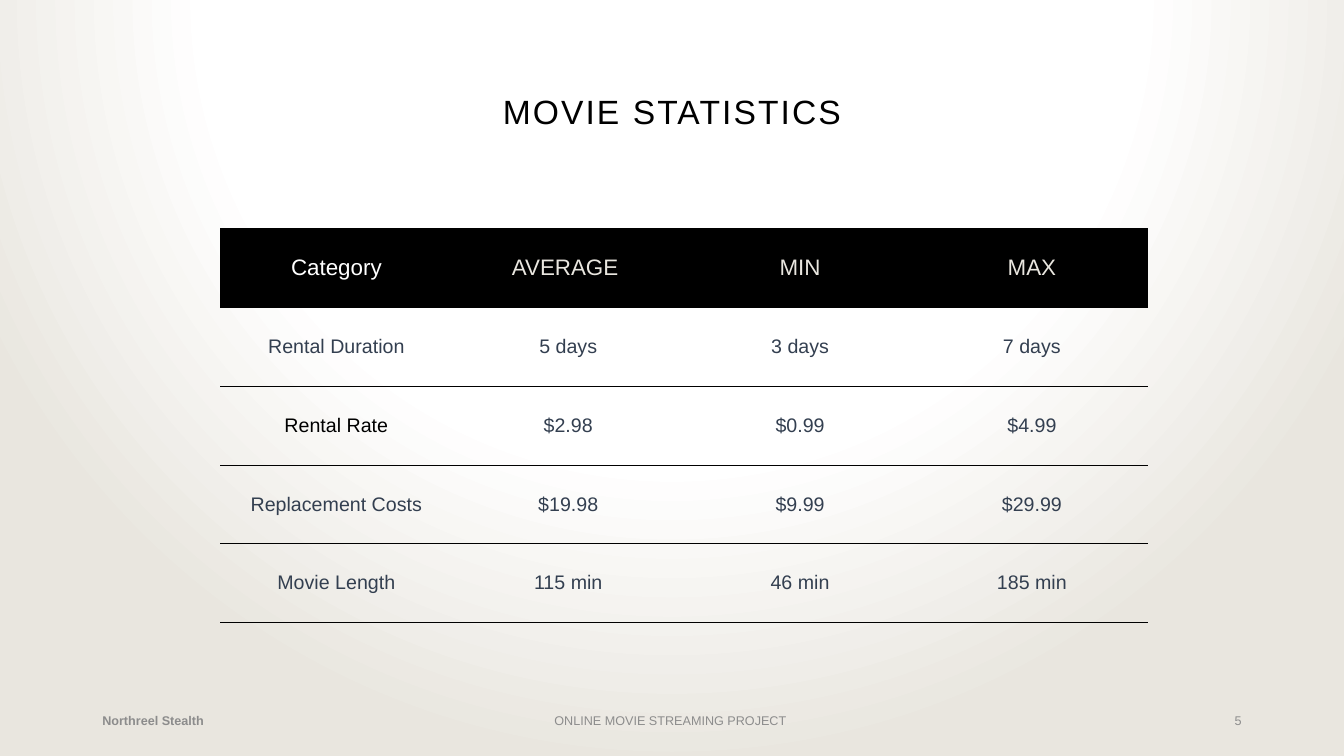
"""Build the movie statistics slide with a table of averages, minimums and maximums."""
from dataclasses import dataclass

from pptx import Presentation
from pptx.dml.color import RGBColor
from pptx.enum.text import MSO_ANCHOR as Anchor, PP_ALIGN as Align
from pptx.oxml import parse_xml
from pptx.oxml.ns import nsdecls
from pptx.slide import Slide
from pptx.table import _Cell as Cell
from pptx.text.text import TextFrame
from pptx.util import Pt

BLACK = RGBColor(0x00, 0x00, 0x00)
WHITE = RGBColor(0xFF, 0xFF, 0xFF)
CREAM = RGBColor(0xE9, 0xE6, 0xDF)
SLATE = RGBColor(0x33, 0x3F, 0x50)
GREY = RGBColor(0x8C, 0x8C, 0x8C)
FONT = "Arial"

TABLE_LEFT, TABLE_TOP = 157.5, 163.2
COLUMN_WIDTH, ROW_HEIGHT = 165.6, 56.3
STATISTICS = [
    ("Category", "AVERAGE ", "MIN", "MAX"),
    ("Rental Duration", "5 days", "3 days", "7 days"),
    ("Rental Rate", "$2.98", "$0.99", "$4.99"),
    ("Replacement Costs", "$19.98", "$9.99", "$29.99"),
    ("Movie Length", "115 min", "46 min", "185 min"),
]
CELL_COLORS = {(0, 0): WHITE, (2, 0): BLACK}


@dataclass
class FooterItem:
    text: str
    left: float
    width: float
    align: Align
    bold: bool = False


FOOTER_ITEMS = [
    FooterItem("Northreel Stealth", 66, 216, Align.LEFT, bold=True),
    FooterItem("ONLINE MOVIE STREAMING PROJECT ", 318, 324, Align.CENTER),
    FooterItem("5", 678, 216, Align.RIGHT),
]


def write_text(frame: TextFrame, text: str, *, size: float, color: RGBColor,
               align: Align = Align.CENTER, bold: bool = False,
               character_spacing: float = 0, line_spacing: float = 1.0) -> None:
    frame.word_wrap = True
    paragraph = frame.paragraphs[0]
    paragraph.alignment = align
    paragraph.line_spacing = line_spacing
    run = paragraph.add_run()
    run.text = text
    run.font.name = FONT
    run.font.size = Pt(size)
    run.font.bold = bold
    run.font.color.rgb = color
    if character_spacing:
        run.font._element.set("spc", str(round(character_spacing * 100)))


def paint_background(slide: Slide) -> None:
    stops = "".join(
        f'<a:gs pos="{percent * 1000}"><a:srgbClr val="{color}"/></a:gs>'
        for percent, color in ((0, WHITE), (60, WHITE), (100, CREAM)))
    slide.element.cSld.insert(0, parse_xml(
        f'<p:bg {nsdecls("p", "a")}><p:bgPr><a:gradFill rotWithShape="1">'
        f'<a:gsLst>{stops}</a:gsLst><a:path path="circle">'
        '<a:fillToRect l="50000" t="-80000" r="50000" b="180000"/></a:path>'
        '</a:gradFill><a:effectLst/></p:bgPr></p:bg>'))


def set_borders(cell: Cell) -> None:
    rule = f'<a:solidFill><a:srgbClr val="{BLACK}"/></a:solidFill>'
    lines = (("lnL", "<a:noFill/>"), ("lnR", "<a:noFill/>"), ("lnT", rule), ("lnB", rule))
    properties = cell._tc.get_or_add_tcPr()
    for position, (tag, fill) in enumerate(lines):
        properties.insert(position, parse_xml(
            f'<a:{tag} {nsdecls("a")} w="{Pt(0.5)}">{fill}</a:{tag}>'))


def add_title(slide: Slide) -> None:
    title = slide.shapes.title
    title.left, title.top, title.width, title.height = Pt(66), Pt(28.8), Pt(828), Pt(104.4)
    title.text_frame.vertical_anchor = Anchor.MIDDLE
    write_text(title.text_frame, "MOVIE STATISTICS", size=24, color=BLACK,
               character_spacing=1.5, line_spacing=0.9)


def add_statistics_table(slide: Slide) -> None:
    row_count, column_count = len(STATISTICS), len(STATISTICS[0])
    table = slide.shapes.add_table(
        row_count, column_count, Pt(TABLE_LEFT), Pt(TABLE_TOP),
        Pt(COLUMN_WIDTH * column_count), Pt(ROW_HEIGHT * row_count)).table
    table.first_row = table.horz_banding = False
    for column in table.columns:
        column.width = Pt(COLUMN_WIDTH)
    for row_index, values in enumerate(STATISTICS):
        table.rows[row_index].height = Pt(ROW_HEIGHT)
        is_header = row_index == 0
        for column_index, value in enumerate(values):
            cell = table.cell(row_index, column_index)
            cell.vertical_anchor = Anchor.MIDDLE
            if is_header:
                cell.fill.solid()
                cell.fill.fore_color.rgb = BLACK
            else:
                cell.fill.background()
            set_borders(cell)
            default_color = CREAM if is_header else SLATE
            write_text(cell.text_frame, value, size=16 if is_header else 14,
                       color=CELL_COLORS.get((row_index, column_index), default_color))


def add_footer_item(slide: Slide, item: FooterItem) -> None:
    shape = slide.shapes.add_textbox(Pt(item.left), Pt(500.4), Pt(item.width), Pt(28.8))
    shape.text_frame.vertical_anchor = Anchor.MIDDLE
    write_text(shape.text_frame, item.text, size=9, color=GREY,
               align=item.align, bold=item.bold)


def main() -> None:
    presentation = Presentation()
    presentation.slide_width, presentation.slide_height = Pt(960), Pt(540)
    slide = presentation.slides.add_slide(presentation.slide_layouts.get_by_name("Title Only"))
    paint_background(slide)
    add_title(slide)
    add_statistics_table(slide)
    for item in FOOTER_ITEMS:
        add_footer_item(slide, item)
    presentation.save("out.pptx")


if __name__ == "__main__":
    main()
